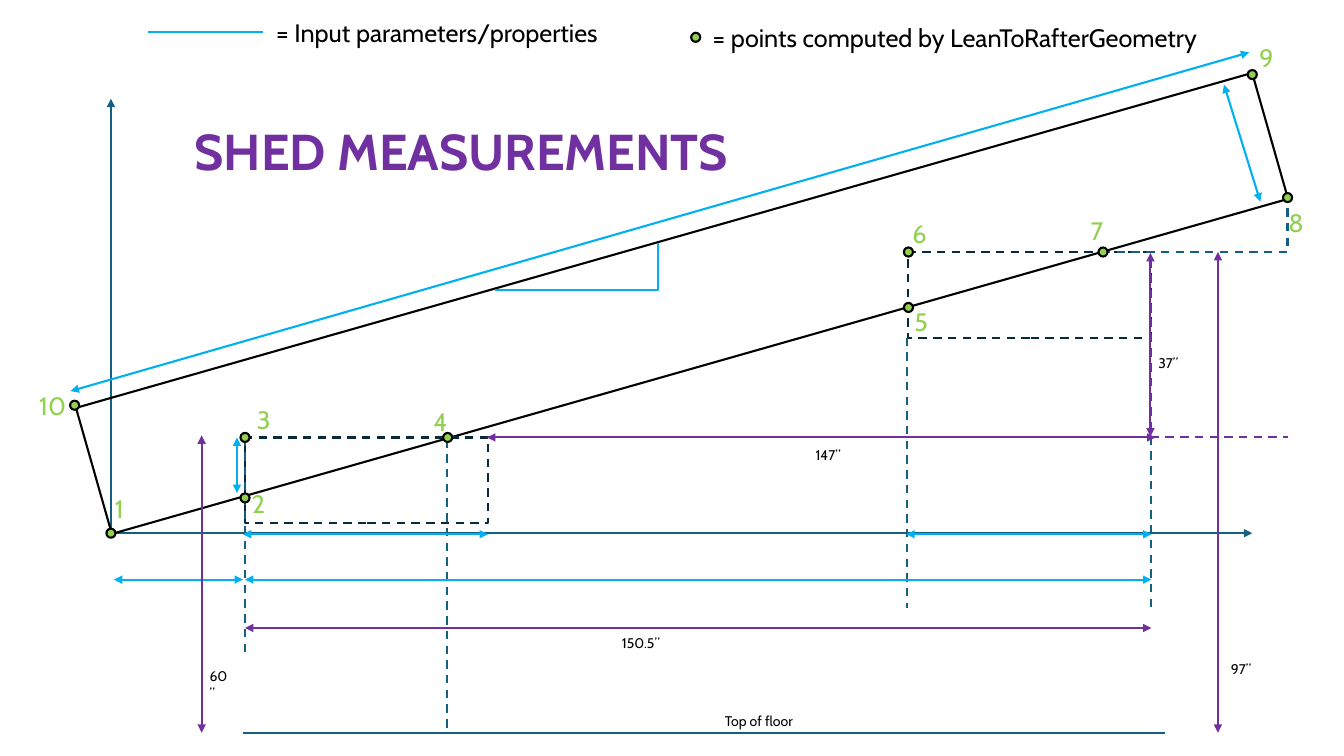
from collections import namedtuple
from dataclasses import dataclass

from lxml import etree
from pptx import Presentation
from pptx import util as u
from pptx.dml.color import RGBColor
from pptx.enum import dml, shapes, text
from pptx.oxml.ns import qn

PX = 9144  # EMU per px, 100 px to the inch


@dataclass(frozen=True)
class Theme:
    font: str = "Cabin"
    axis: str = "156082"
    plate: str = "092A39"
    param: str = "00B0F0"
    measure: str = "7030A0"
    point: str = "92D050"
    ink: str = "000000"
    title: int = 36
    label: int = 18
    small: int = 10
    stroke: float = 1.5


T = Theme()


class Box(namedtuple("Box", "x y w h")):
    @property
    def right(self):
        return self.x + self.w

    @property
    def bottom(self):
        return self.y + self.h

    def at(self, dx, dy):
        return self.x + dx, self.y + dy

    def inner(self, dx, dy, w, h):
        return Box(*self.at(dx, dy), w, h)


def emu(*lengths):
    return [u.Emu(round(n * PX)) for n in lengths]


def rgb(color):
    return RGBColor.from_string(color)


# Drawing helpers
def stroke(sp, color, dash=False):
    sp.line.color.rgb = rgb(color)
    sp.line.width = u.Pt(T.stroke)
    if dash:
        sp.line.dash_style = dml.MSO_LINE.DASH


def add_line(slide, start, end, color, dash=False, arrows=""):
    sp = slide.shapes.add_connector(shapes.MSO_CONNECTOR.STRAIGHT, *emu(*start, *end))
    stroke(sp, color, dash)
    props = sp.element.spPr
    for name in arrows.split():
        etree.SubElement(props.find(qn("a:ln")), qn(f"a:{name}End"), type="triangle")
    etree.SubElement(props, qn("a:effectLst"))


def add_span(slide, start, end, color):
    add_line(slide, start, end, color, arrows="head tail")


def add_outline(slide, points, color, dash=False):
    builder = slide.shapes.build_freeform(*emu(*points[0]))
    builder.add_line_segments([emu(*pt) for pt in points[1:]], close=False)
    sp = builder.convert_to_shape()
    sp.shadow.inherit = False
    sp.fill.background()
    stroke(sp, color, dash)


def add_preset(slide, kind, box, color, fill=None, dash=False):
    sp = slide.shapes.add_shape(kind, *emu(*box))
    sp.shadow.inherit = False
    if fill:
        sp.fill.solid()
        sp.fill.fore_color.rgb = rgb(fill)
    else:
        sp.fill.background()
    stroke(sp, color, dash)
    return sp


def add_dot(slide, cx, cy, d=9):
    add_preset(slide, shapes.MSO_SHAPE.OVAL, (cx - d / 2, cy - d / 2, d, d), T.ink, T.point)


def add_text(slide, box, words, size=T.small, color=T.ink, bold=False, wrap=False, sp=None):
    sp = sp or slide.shapes.add_textbox(*emu(*box))
    sp.left, sp.top, sp.width, sp.height = emu(*box)
    tf = sp.text_frame
    tf.word_wrap = wrap
    tf.auto_size = text.MSO_AUTO_SIZE.SHAPE_TO_FIT_TEXT
    tf.vertical_anchor = text.MSO_ANCHOR.TOP
    p = tf.paragraphs[0]
    p.alignment = text.PP_ALIGN.LEFT
    r = p.add_run()
    r.text = words
    r.font.name, r.font.size, r.font.bold = T.font, u.Pt(size), bold
    r.font.color.rgb = rgb(color)


# Regions
def draw_title(slide, box):
    add_text(slide, box, "SHED MEASUREMENTS", T.title, T.measure, bold=True,
             sp=slide.shapes.title)


def draw_axes(slide, area):
    origin = area.at(40, 479)
    for end in (area.at(1172, 479), area.at(40, 48)):
        add_line(slide, origin, end, T.axis, arrows="tail")


def draw_rafter(slide, box):
    sp = add_preset(slide, shapes.MSO_SHAPE.RECTANGLE, box, T.ink)
    sp.rotation = 344.1


def draw_plate(slide, box):
    add_preset(slide, shapes.MSO_SHAPE.RECTANGLE, box, T.plate, dash=True)


def draw_inputs(slide, area, low, high):
    # Rafter depth, rafter length and slope
    add_span(slide, area.at(1144, 34), area.at(1180, 150), T.param)
    add_span(slide, area.at(0, 338), area.at(1169, 2), T.param)
    add_outline(slide, [area.at(421, 238), area.at(583, 238), area.at(583, 191)], T.param)
    # Overhang, span, notch height and plate widths
    span_y, base_y = area.y + 525, area.y + 480
    add_span(slide, (area.x + 43, span_y), (low.x - 2, span_y), T.param)
    add_span(slide, (low.x, span_y), (high.right, span_y), T.param)
    add_span(slide, low.at(-8, 0), low.at(-8, 55), T.param)
    for plate in (low, high):
        add_span(slide, (plate.x - 2, base_y), (plate.right, base_y), T.param)


def draw_guides(slide, area, low, high):
    mark_x = area.x + 373
    for start, end in (
        ((high.right, high.y + 8), (high.right, area.y + 553)),
        (low.at(0, 0), (low.x, area.y + 600)),
        ((high.x - 1, high.bottom), (high.x - 1, area.y + 553)),
        ((mark_x, low.y + 2), (mark_x, area.bottom)),
    ):
        add_line(slide, start, end, T.axis, dash=True)
    add_outline(slide, [area.at(1023, 200), area.at(1207, 200), area.at(1207, 152)],
                T.axis, dash=True)


def draw_points(slide, area):
    # Dot centre, then the label's offset from it
    points = [(40, 479, -6, -45), (173, 444, -3, -14), (173, 384, 2, -38),
              (374, 384, -24, -36), (831, 255, -4, -6), (831, 200, -6, -38),
              (1024, 200, -22, -41), (1207, 146, -9, 5), (1172, 24, -3, -37),
              (4, 352, -45, -20)]
    for n, (x, y, dx, dy) in enumerate(points, 1):
        label = area.inner(x + dx, y + dy, 34 if n < 10 else 47, 40)
        add_text(slide, label, str(n), T.label, T.point)
        add_dot(slide, *area.at(x, y))


def draw_legend(slide, box):
    add_line(slide, box.at(0, 20), box.at(114, 20), T.param)
    add_text(slide, box.inner(117, 0, 346, 40), "= Input parameters/properties", T.label)
    add_dot(slide, *box.at(543, 25))
    add_text(slide, box.inner(550, 5, 511, 40),
             "= points computed by LeanToRafterGeometry", T.label)


def draw_measures(slide, area, low, high):
    # Floor
    add_line(slide, (high.right + 13, area.bottom), (low.x - 2, area.bottom), T.axis)
    add_text(slide, area.inner(639, 652, 88, 27), "Top of floor")
    # Widths
    add_span(slide, area.at(173, 573), (high.right, area.y + 573), T.measure)
    add_text(slide, area.inner(537, 575, 61, 27), "150.5”")
    add_line(slide, (low.right, low.y), (area.right, low.y), T.measure, dash=True)
    add_span(slide, (low.right - 1, low.y), (high.right + 4, low.y), T.measure)
    add_text(slide, area.inner(729, 388, 49, 27), "147”")
    # Heights
    for x, top, bottom, words, label, wrap in (
        (high.right + 66, high.y, area.bottom, "97”", area.inner(1141, 600, 42, 27), False),
        (low.x - 43, low.y - 2, area.bottom, "60”", area.inner(128, 607, 41, 27), True),
        (high.right - 1, high.y + 1, low.y - 1, "37”", area.inner(1069, 297, 42, 27), False),
    ):
        add_span(slide, (x, top), (x, bottom), T.measure)
        add_text(slide, label, words, wrap=wrap)


def main():
    prs = Presentation()
    prs.slide_width, prs.slide_height = u.Inches(13.33), u.Inches(7.5)
    slide = prs.slides.add_slide(prs.slide_layouts[5])
    area = Box(70, 50, 1207, 677)
    low, high = Box(243, 434, 241, 85), Box(901, 250, 241, 85)

    draw_title(slide, Box(183, 114, 552, 71))
    draw_axes(slide, area)
    draw_rafter(slide, Box(70, 236, 1213, 130))
    for plate in (low, high):
        draw_plate(slide, plate)
    draw_guides(slide, area, low, high)
    draw_inputs(slide, area, low, high)
    draw_points(slide, area)
    draw_legend(slide, Box(147, 12, 1061, 45))
    draw_measures(slide, area, low, high)
    prs.save("out.pptx")


if __name__ == "__main__":
    main()
